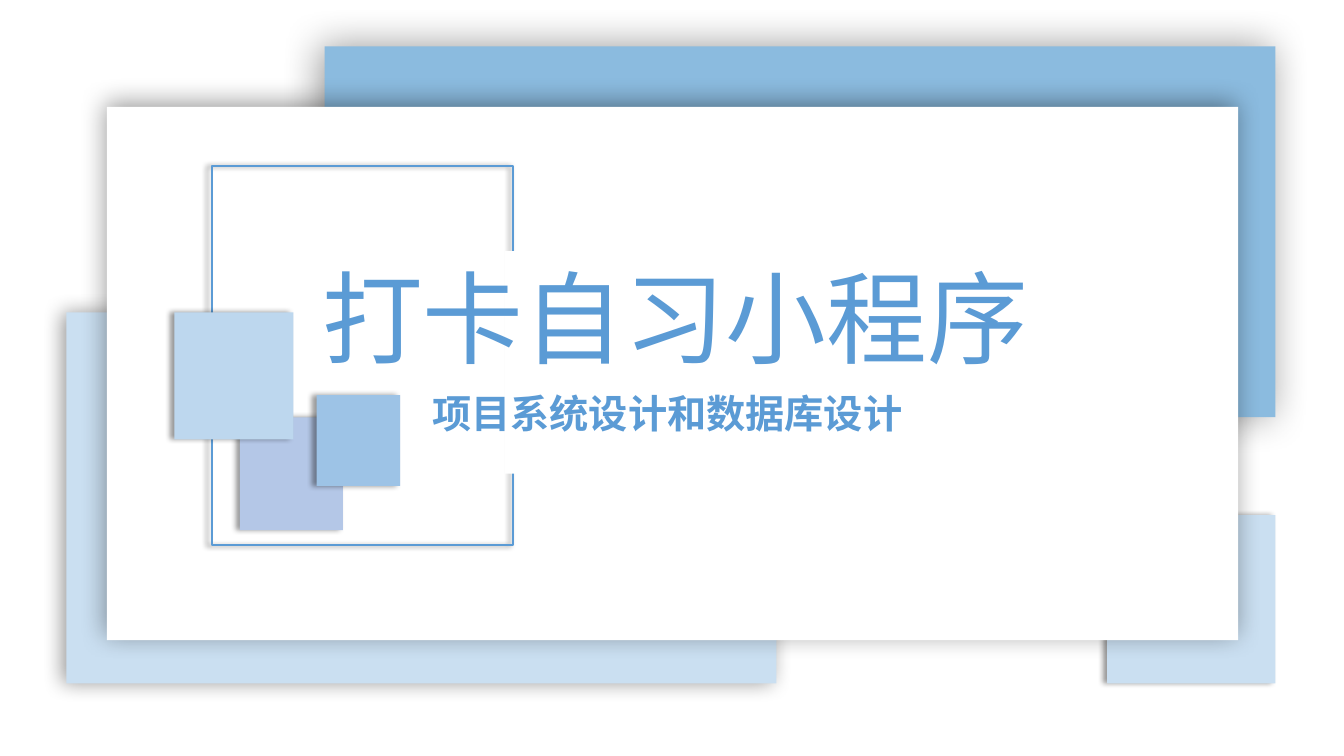
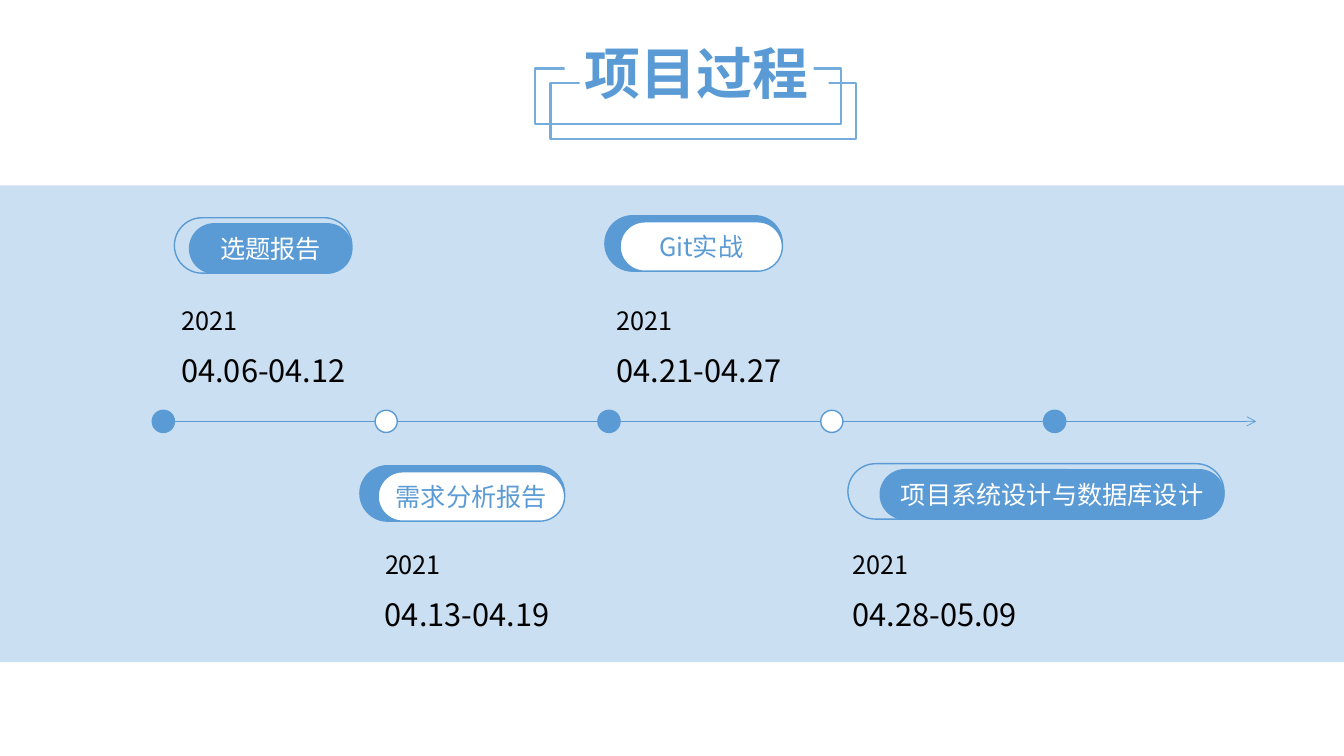
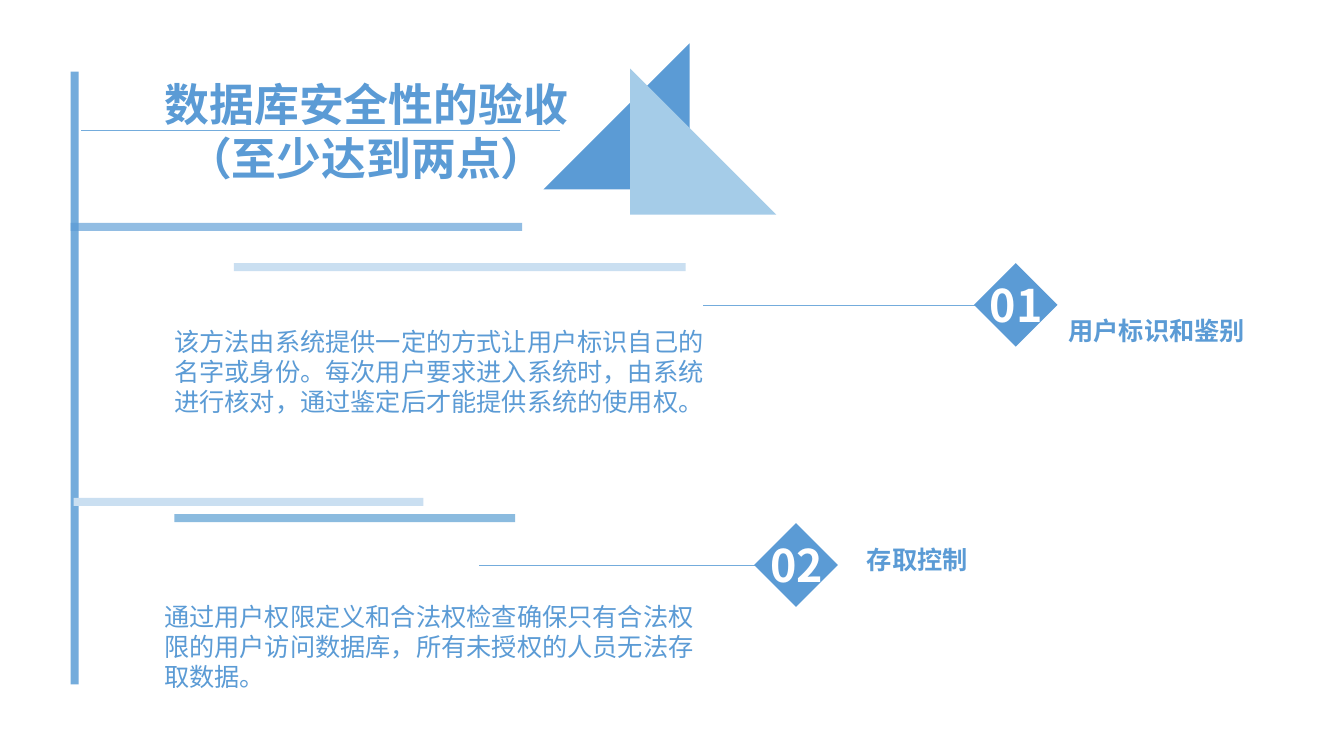
from lxml.etree import SubElement
from pptx import Presentation
from pptx.dml.color import RGBColor
from pptx.enum.shapes import MSO_CONNECTOR, MSO_SHAPE
from pptx.enum.text import MSO_ANCHOR, PP_ALIGN
from pptx.oxml.ns import qn
from pptx.util import Emu, Pt

PX = 9144  # 100 px to the inch
FONT = "Noto Sans CJK SC"
TITLE_FONT = "Cabin"
COLORS = {
    "blue": "5B9BD5", "outline": "74ACDC", "sky": "8BBBDF", "pale": "CADFF1",
    "light": "A5CCE8", "lilac": "B4C7E7", "ice": "BDD7EE", "azure": "9DC3E6",
    "white": "FFFFFF", "black": "000000",
}

# Cover: left, top, width, height, fill, shadow (opacity %, blur pt, angle)
SMALL_SHADOW = (40, 4, 180)
COVER_PANELS = [
    (1098, 511, 167, 167, "pale", SMALL_SHADOW),
    (66, 310, 704, 368, "pale", (40, 15, 180)),
    (322, 46, 943, 368, "sky", (40, 29, 180)),
    (106, 106, 1122, 529, "white", (38, 19, 256)),
]
COVER_SQUARES = [
    (238, 414, 102, 112, "lilac", SMALL_SHADOW),
    (173, 310, 118, 126, "ice", SMALL_SHADOW),
    (314, 392, 83, 90, "azure", SMALL_SHADOW),
]

# Timeline: label, badge left, top, width, inner width, solid badge, date, date left, top
STAGES = [
    ("选题报告", 173, 216, 176, 161, False, "04.06-04.12", 170, 298),
    ("需求分析报告", 357, 462, 203, 185, True, "04.13-04.19", 372, 540),
    ("Git实战", 600, 214, 176, 161, True, "04.21-04.27", 602, 298),
    ("项目系统设计与数据库设计", 841, 460, 373, 341, False, "04.28-05.09", 836, 540),
]
DOTS, DOT_SIZE, DOT_LEFT, DOT_STEP, AXIS_Y = 5, 22, 151, 221, 418
TITLE_FRAMES = [  # frame box, then the white gap cut into its top edge
    ((546, 82, 303, 56), (575, 73, 247, 40)),
    ((531, 68, 303, 55), (560, 60, 247, 14)),
]

# Security: bars as left, top, width, height, fill, opacity %
BARS = [
    (70, 71, 8, 608, "outline", 100),
    (70, 221, 448, 8, "blue", 66),
    (232, 261, 448, 8, "pale", 100),
    (73, 494, 347, 8, "pale", 100),
    (173, 510, 338, 8, "sky", 100),
]
# number, diamond left, top, line start, heading, heading place, text, text place
POINTS = [
    ("01", 966, 261, 697, "用户标识和鉴别", (1050, 308),
     "该方法由系统提供一定的方式让用户标识自己的名字或身份。"
     "每次用户要求进入系统时，由系统进行核对，通过鉴定后才能提供系统的使用权。", (163, 319)),
    ("02", 748, 519, 475, "存取控制", (850, 535),
     "通过用户权限定义和合法权检查确保只有合法权限的用户访问数据库，"
     "所有未授权的人员无法存取数据。", (153, 592)),
]


def color(name):
    return RGBColor.from_string(COLORS[name])


def px(*lengths):
    return [Emu(length * PX) for length in lengths]


def add_shape(page, place, fill=None, line=None, width=1, kind=MSO_SHAPE.RECTANGLE,
              shadow=None, opacity=100):
    shape = page.shapes.add_shape(kind, *px(*place))
    shape.shadow.inherit = False
    if fill:
        shape.fill.solid()
        shape.fill.fore_color.rgb = color(fill)
    else:
        shape.fill.background()
    if line:
        shape.line.color.rgb = color(line)
        shape.line.width = Pt(width)
    else:
        shape.line.fill.background()
    properties = shape.element.spPr
    if opacity < 100:
        tint = properties.find(qn("a:solidFill"))[0]
        SubElement(tint, qn("a:alpha"), val=str(opacity * 1000))
    if shadow:
        strength, blur, angle = shadow
        outer = SubElement(
            properties.find(qn("a:effectLst")), qn("a:outerShdw"), blurRad=str(Pt(blur)),
            dist=str(Pt(3)), dir=str(angle * 60000), algn="ctr", rotWithShape="0")
        shade = SubElement(outer, qn("a:srgbClr"), val=COLORS["black"])
        SubElement(shade, qn("a:alpha"), val=str(strength * 1000))
    return shape


def add_line(page, left, right, y, shade, arrow=False):
    line = page.shapes.add_connector(MSO_CONNECTOR.STRAIGHT, *px(left, y, right, y))
    line.line.color.rgb = color(shade)
    line.line.width = Pt(0.5)
    if arrow:
        SubElement(line.line._get_or_add_ln(), qn("a:tailEnd"), type="arrow")
    SubElement(line.element.spPr, qn("a:effectLst"))


def add_text(page, place, lines, size, shade="blue", bold=False, center=False,
             spacing=None, font=FONT, anchor=MSO_ANCHOR.TOP):
    box = page.shapes.add_textbox(*px(*place))
    frame = box.text_frame
    frame.word_wrap = True
    frame.vertical_anchor = anchor
    for index, line in enumerate(lines):
        para = frame.add_paragraph() if index else frame.paragraphs[0]
        para.alignment = PP_ALIGN.CENTER if center else PP_ALIGN.LEFT
        if spacing:
            para.line_spacing = Pt(spacing)
        span = para.add_run()
        span.text = line
        span.font.name = font
        span.font.size = Pt(size)
        span.font.bold = bold
        span.font.color.rgb = color(shade)
        SubElement(span.font._element, qn("a:ea"), typeface=font)


def build_cover(page):
    for *place, fill, shadow in COVER_PANELS:
        add_shape(page, place, fill, shadow=shadow)
    # Open frame behind the title
    add_shape(page, (210, 165, 299, 376), line="blue", width=1.5, shadow=SMALL_SHADOW)
    add_shape(page, (501, 249, 15, 221), "white")
    add_text(page, (214, 249, 911, 131), ["打卡自习小程序"], 72, center=True)
    add_text(page, (419, 392, 539, 46), ["项目系统设计和数据库设计"], 28, bold=True, spacing=26)
    for *place, fill, shadow in COVER_SQUARES:
        add_shape(page, place, fill, shadow=shadow)


def build_timeline(page):
    add_shape(page, (0, 184, 1333, 473), "pale")
    # Axis with alternating dots
    add_line(page, DOT_LEFT, 1246, AXIS_Y, "blue", arrow=True)
    for index in range(DOTS):
        place = (DOT_LEFT + index * DOT_STEP, AXIS_Y - DOT_SIZE // 2, DOT_SIZE, DOT_SIZE)
        add_shape(page, place, "white" if index % 2 else "blue", "blue", kind=MSO_SHAPE.OVAL)
    # Badges and dates
    for label, left, top, width, inner, solid, date, date_left, date_top in STAGES:
        inner_left = left + width - inner
        outer_fill, inner_fill, ink = (
            ("blue", "white", "blue") if solid else (None, "blue", "white"))
        for place, fill in (((left, top, width, 55), outer_fill),
                            ((inner_left, top + 6, inner, 49), inner_fill)):
            pill = add_shape(page, place, fill, "blue", kind=MSO_SHAPE.ROUNDED_RECTANGLE)
            pill.adjustments[0] = 0.5
        add_text(page, (inner_left, top + 11, inner, 40), [label], 18, ink, center=True)
        add_text(page, (date_left, date_top, 92, 40), ["2021"], 18, "black")
        add_text(page, (date_left, date_top + 46, 247, 47), [date], 22, "black")
    # Title in two open frames
    for frame, gap in TITLE_FRAMES:
        add_shape(page, frame, line="outline", width=1.5)
        add_shape(page, gap, "white")
    add_text(page, (510, 29, 361, 85), ["项目过程"], 40, bold=True, center=True,
             anchor=MSO_ANCHOR.MIDDLE)


def build_security(page):
    add_line(page, 555, 80, 129, "outline")
    for *place, fill, opacity in BARS:
        add_shape(page, place, fill, opacity=opacity)
    # Numbered points
    for number, left, top, start, heading, heading_at, body, body_at in POINTS:
        add_line(page, left + 3, start, top + 42, "outline")
        add_shape(page, (left, top, 83, 83), "blue", kind=MSO_SHAPE.DIAMOND)
        add_text(page, (left + 2, top + 10, 80, 64), [number], 32, "white", True, True)
        add_text(page, (*heading_at, 266, 40), [heading], 18, bold=True)
        add_text(page, (*body_at, 554, 101), [body], 18, spacing=21.5)
    # Title and triangles
    add_text(page, (134, 71, 459, 118), ["数据库安全性的验收", "（至少达到两点）"], 32,
             bold=True, center=True, font=TITLE_FONT)
    back = add_shape(page, (539, 43, 145, 145), "blue", kind=MSO_SHAPE.RIGHT_TRIANGLE)
    back.element.spPr.find(qn("a:xfrm")).set("flipH", "1")
    add_shape(page, (625, 68, 145, 145), "light", kind=MSO_SHAPE.RIGHT_TRIANGLE)


def main():
    deck = Presentation()
    deck.slide_width, deck.slide_height = px(1333, 750)
    for build in (build_cover, build_timeline, build_security):
        build(deck.slides.add_slide(deck.slide_layouts[6]))
    deck.save("out.pptx")


if __name__ == "__main__":
    main()
